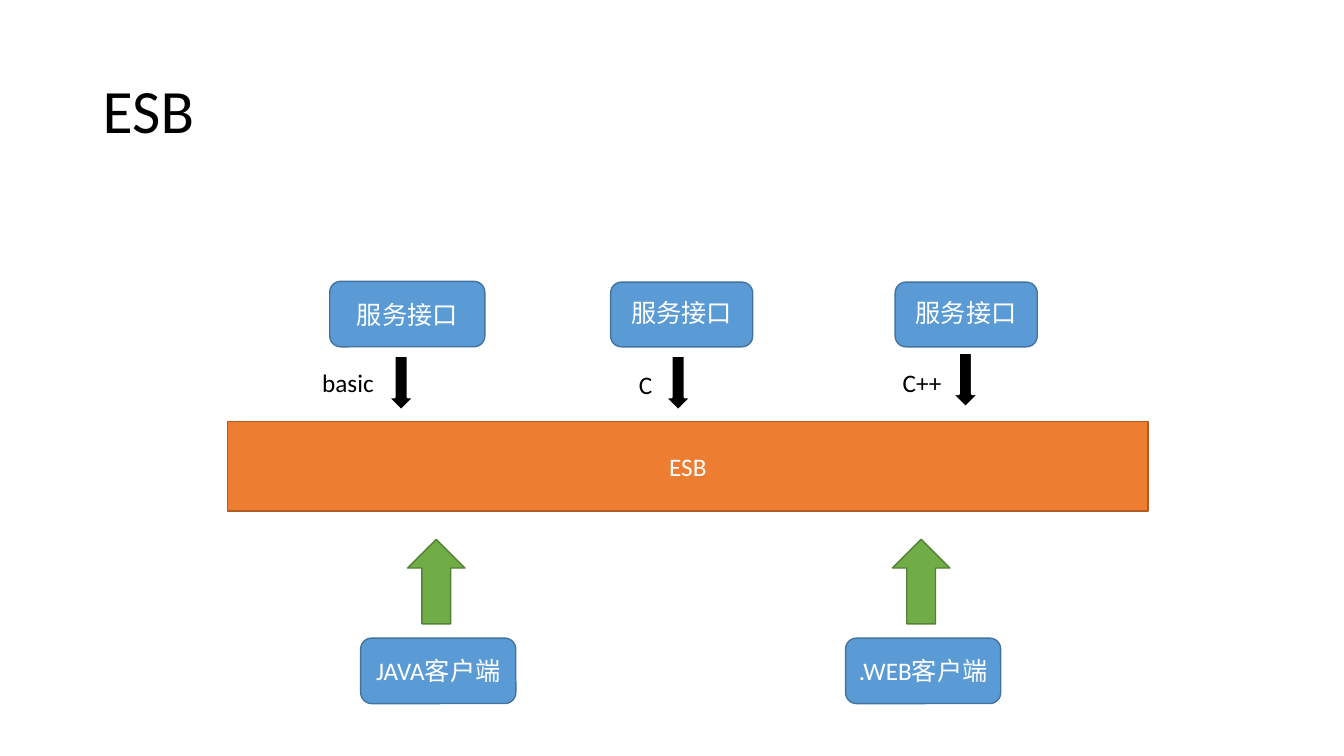
from pptx import Presentation
from pptx.dml.color import RGBColor
from pptx.enum.shapes import MSO_SHAPE
from pptx.enum.text import MSO_ANCHOR, MSO_AUTO_SIZE, PP_ALIGN
from pptx.util import Cm, Pt

RECTANGLE, ROUNDED = MSO_SHAPE.RECTANGLE, MSO_SHAPE.ROUNDED_RECTANGLE
DOWN_ARROW, UP_ARROW = MSO_SHAPE.DOWN_ARROW, MSO_SHAPE.UP_ARROW
MIDDLE, TOP, CENTER = MSO_ANCHOR.MIDDLE, MSO_ANCHOR.TOP, PP_ALIGN.CENTER
FIT_SHAPE = MSO_AUTO_SIZE.SHAPE_TO_FIT_TEXT

BLACK = RGBColor(0x00, 0x00, 0x00)
WHITE = RGBColor(0xFF, 0xFF, 0xFF)
BLUE, BLUE_LINE = RGBColor(0x5B, 0x9B, 0xD5), RGBColor(0x43, 0x73, 0x9E)
ORANGE, ORANGE_LINE = RGBColor(0xED, 0x7D, 0x31), RGBColor(0xAF, 0x5C, 0x24)
GREEN, GREEN_LINE = RGBColor(0x70, 0xAD, 0x47), RGBColor(0x53, 0x81, 0x35)

FONT = "Calibri"
TIGHT = {"line_spacing": 0.9, "space_before": Pt(10)}


def write(shape, text, color, size=18, frame_format=None, para_format=None):
    """Put one formatted paragraph into a shape."""
    frame = shape.text_frame
    for name, value in (frame_format or {}).items():
        setattr(frame, name, value)
    para = frame.paragraphs[0]
    for name, value in (para_format or {}).items():
        setattr(para, name, value)
    span = para.add_run()
    span.text = text
    for name, value in {"name": FONT, "size": Pt(size)}.items():
        setattr(span.font, name, value)
    span.font.color.rgb = color


def add_block(page, kind, box, fill, line, text="", line_width=1, spacing=None):
    """Draw a filled shape, with centred white text if there is any."""
    shape = page.shapes.add_shape(kind, *map(Cm, box))
    shape.shadow.inherit = False
    shape.fill.solid()
    shape.fill.fore_color.rgb = fill
    shape.line.color.rgb = line
    shape.line.width = Pt(line_width)
    if text:
        write(shape, text, WHITE,
              frame_format={"word_wrap": True, "vertical_anchor": MIDDLE},
              para_format={"alignment": CENTER, **(spacing or {})})


def add_title(page, box, text):
    title = page.shapes.add_textbox(*map(Cm, box))
    write(title, text, BLACK, 44,
          {"word_wrap": True, "vertical_anchor": MIDDLE}, {"line_spacing": 0.9})


def add_service(page, box, language, label_box, arrow_offset, spacing):
    """Service interface with its language and an arrow down to the bus."""
    left, top = box[:2]
    add_block(page, ROUNDED, box, BLUE, BLUE_LINE, "服务接口", spacing=spacing)
    arrow_left, arrow_top = arrow_offset
    add_block(page, DOWN_ARROW, (left + arrow_left, top + arrow_top, 0.66, 1.37),
              BLACK, WHITE, line_width=1.5)
    label_left, label_top, label_width = label_box
    label = page.shapes.add_textbox(Cm(left + label_left), Cm(top + label_top),
                                    Cm(label_width), Cm(1.02))
    write(label, language, BLACK, frame_format={
        "word_wrap": False, "auto_size": FIT_SHAPE, "vertical_anchor": TOP})


def add_client(page, box, text):
    """Client with an arrow up to the bus."""
    left, top = box[:2]
    add_block(page, ROUNDED, box, BLUE, BLUE_LINE, text)
    add_block(page, UP_ARROW, (left + 1.18, top - 2.49, 1.45, 2.13),
              GREEN, GREEN_LINE)


# Box, language, label (left, top, width) and arrow offset within the box
SERVICES = [
    ((8.31, 7.09, 3.91, 1.65), "basic", (-0.44, 2.03, 1.83), (1.47, 1.88), None),
    ((15.39, 7.11, 3.58, 1.63), "C", (0.46, 2.06, 0.86), (1.37, 1.86), TIGHT),
    ((22.56, 7.11, 3.58, 1.63), "C++", (-0.06, 2.01, 1.5), (1.44, 1.78), TIGHT),
]
CLIENTS = [(9.09, "JAVA客户端"), (21.31, ".WEB客户端")]

deck = Presentation()
deck.slide_width, deck.slide_height = Cm(33.87), Cm(19.05)
page = deck.slides.add_slide(deck.slide_layouts[6])

add_title(page, (2.34, 1.02, 29.21, 3.68), "ESB")
# Bus between services and clients
add_block(page, RECTANGLE, (5.74, 10.62, 23.19, 2.26), ORANGE, ORANGE_LINE, "ESB")
for service in SERVICES:
    add_service(page, *service)
for client_left, client_text in CLIENTS:
    add_client(page, (client_left, 16.08, 3.91, 1.65), client_text)

deck.save("out.pptx")
